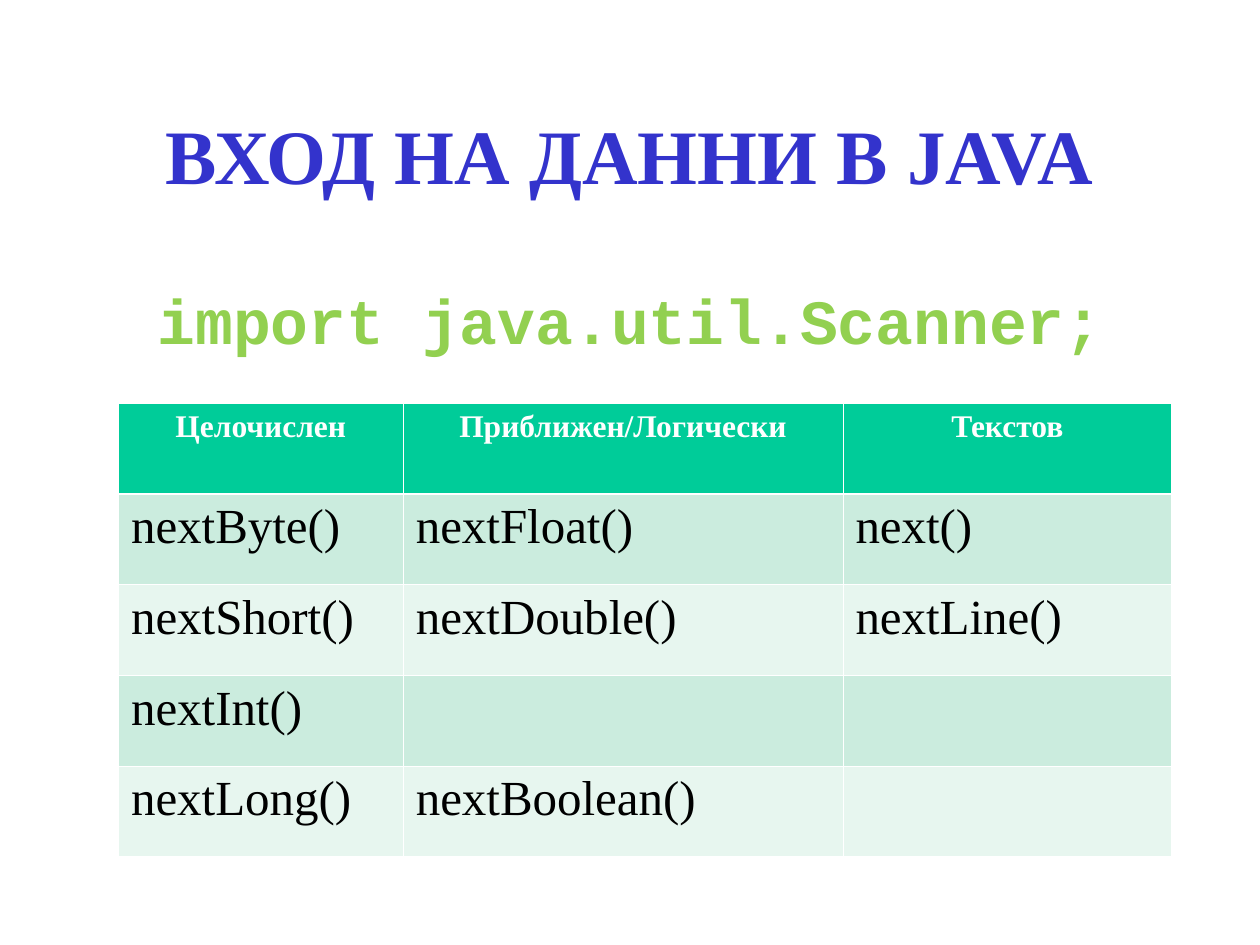
from pptx import Presentation
from pptx.dml.color import RGBColor
from pptx.enum.text import MSO_ANCHOR, PP_ALIGN
from pptx.oxml.ns import qn
from pptx.util import Inches, Pt
from lxml.etree import SubElement

COLORS = {
    "title": "3333CC",
    "code": "92D050",
    "header": "00CC99",
    "band_dark": "CBECDE",
    "band_light": "E7F6EF",
    "white": "FFFFFF",
    "black": "000000",
}
SERIF, MONO = "Times New Roman", "Courier New"
THIN, THICK = 0.45, 1.47

COLUMN_WIDTHS = [2.26, 3.49, 2.61]
ROW_HEIGHT = 0.72
METHODS = [
    ["Целочислен", "Приближен/Логически", "Текстов"],
    ["nextByte()", "nextFloat()", "next()"],
    ["nextShort()", "nextDouble()", "nextLine()"],
    ["nextInt()", "", ""],
    ["nextLong()", "nextBoolean()", ""],
]


class SlideBuilder:
    """Holds the style and the current slide."""

    def __init__(self, page):
        self.page = page

    def add_span(self, para, text, size, color, font=SERIF, bold=False):
        span = para.add_run()
        span.text = text
        span.font.name = font
        span.font.size = Pt(size)
        span.font.bold = bold
        span.font.color.rgb = RGBColor.from_string(COLORS[color])

    def add_text(self, bounds, text, size, color, font=SERIF, anchor=MSO_ANCHOR.TOP):
        box = self.page.shapes.add_textbox(*map(Inches, bounds))
        frame = box.text_frame
        frame.word_wrap = True
        frame.vertical_anchor = anchor
        para = frame.paragraphs[0]
        para.alignment = PP_ALIGN.CENTER
        self.add_span(para, text, size, color, font, bold=True)
        return para

    def add_borders(self, cell, top, bottom):
        # Borders must come before the fill in the cell properties
        properties = cell._tc.get_or_add_tcPr()
        for side, width in (("L", THIN), ("R", THIN), ("T", top), ("B", bottom)):
            line = SubElement(properties, qn(f"a:ln{side}"), w=str(int(Pt(width))))
            fill = SubElement(line, qn("a:solidFill"))
            SubElement(fill, qn("a:srgbClr"), val=COLORS["white"])

    def add_table(self, left, top, widths, row_height, rows):
        table = self.page.shapes.add_table(
            len(rows), len(widths), Inches(left), Inches(top),
            Inches(sum(widths)), Inches(row_height * len(rows)),
        ).table
        for column, width in zip(table.columns, widths):
            column.width = Inches(width)
        for r, texts in enumerate(rows):
            table.rows[r].height = Inches(row_height)
            header = r == 0
            band = "header" if header else "band_dark" if r % 2 else "band_light"
            for c, text in enumerate(texts):
                cell = table.cell(r, c)
                self.add_borders(cell, THICK if r == 1 else THIN, THICK if header else THIN)
                cell.fill.solid()
                cell.fill.fore_color.rgb = RGBColor.from_string(COLORS[band])
                para = cell.text_frame.paragraphs[0]
                if header:
                    para.alignment = PP_ALIGN.CENTER
                    self.add_span(para, text, 18, "white", bold=True)
                elif text:
                    self.add_span(para, text, 28, "black")


def main():
    deck = Presentation()
    deck.slide_width, deck.slide_height = Inches(10), Inches(7.5)
    builder = SlideBuilder(deck.slides.add_slide(deck.slide_layouts[6]))

    # Title
    builder.add_text((0.31, 0.51, 9.37, 1.42), "ВХОД НА ДАННИ В JAVA", 44, "title",
                     anchor=MSO_ANCHOR.MIDDLE)

    # Import statement
    statement = builder.add_text((0.63, 2.25, 8.74, 4.67), "import java.util.Scanner;",
                                 36, "code", MONO)
    statement.line_spacing = 0.9
    statement.space_before = Pt(6.8)

    # Scanner methods by data type
    builder.add_table(0.94, 3.2, COLUMN_WIDTHS, ROW_HEIGHT, METHODS)

    deck.save("out.pptx")


if __name__ == "__main__":
    main()
